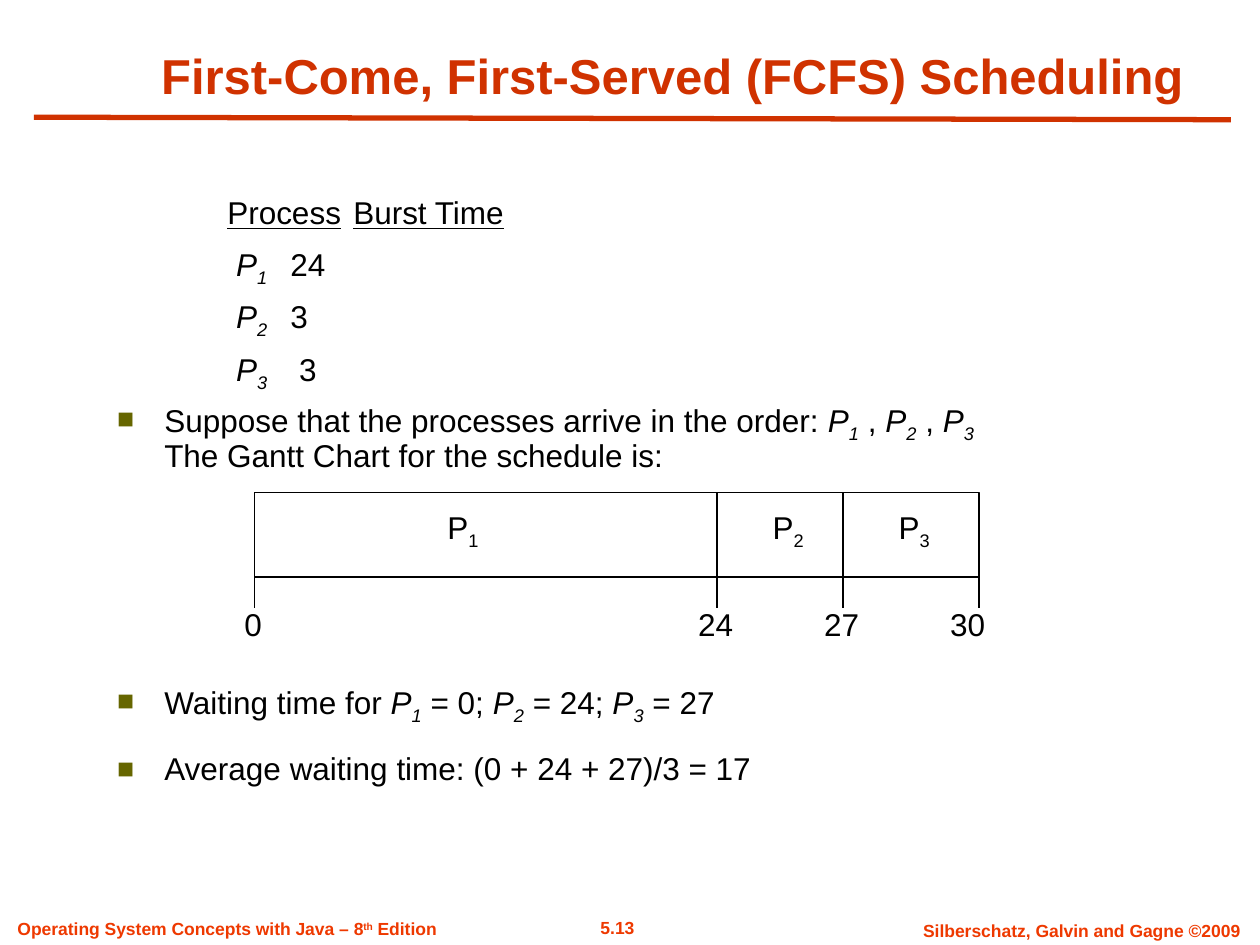
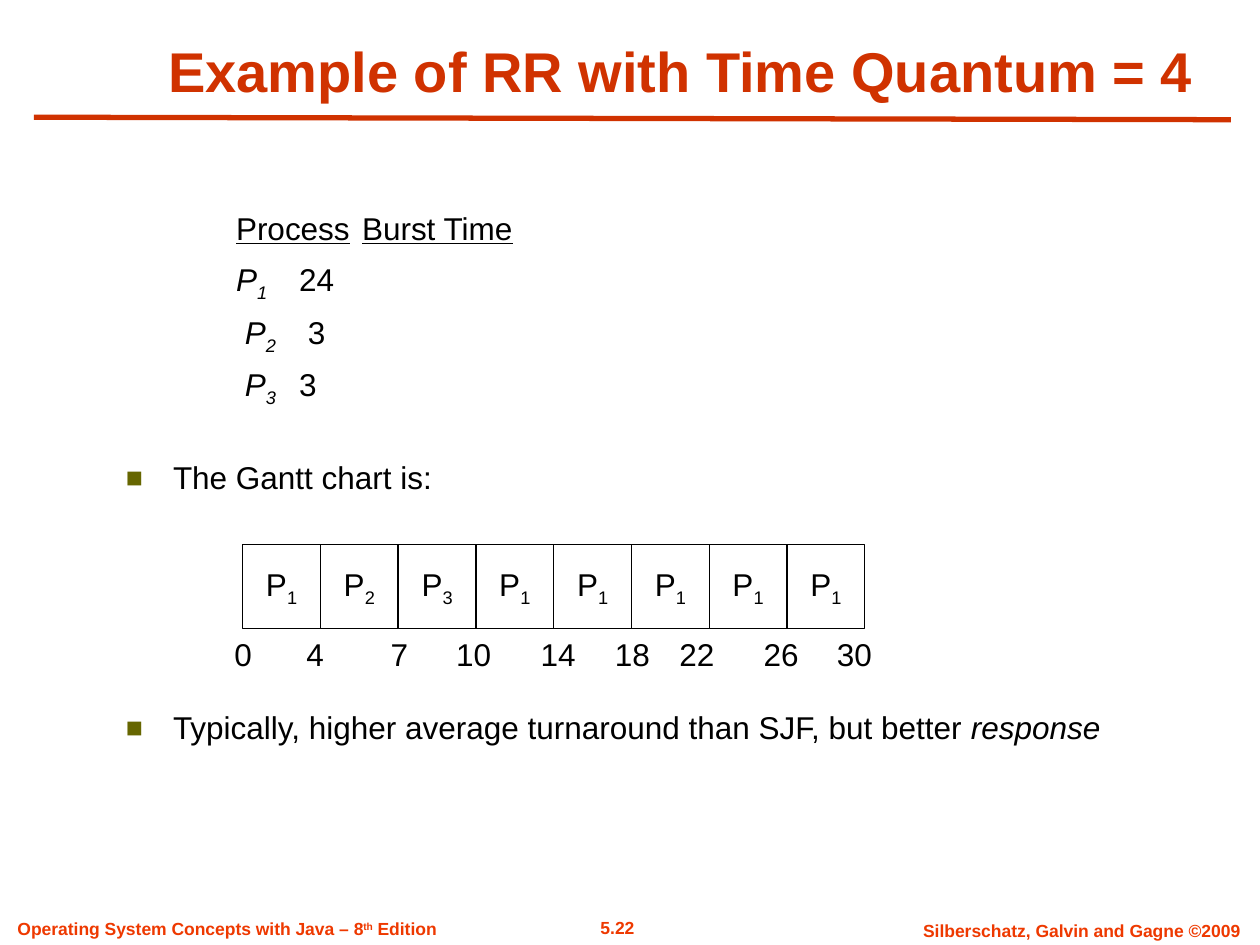
import pptx
import pptx.dml.color
import pptx.enum.shapes
import pptx.enum.text
import pptx.oxml.ns
import pptx.util
from lxml import etree

Pt = pptx.util.Pt
Align = pptx.enum.text.PP_ALIGN
Anchor = pptx.enum.text.MSO_ANCHOR

THEME = {
    "font": "Arial",
    "colors": {"title": "D03200", "footer": "EE3900", "ink": "000000",
               "paper": "FFFFFF", "bullet": "666600"},
    "sizes": {"body": 18, "footer": 10},
    "rule": 3, "hairline": 0.74,
    "indent": 27, "line spacing": 0.9, "bullet percent": 90,
}

# Span styles: font attributes, plus "baseline" in thousandths of a percent
STYLES = {
    "plain": {},
    "italic": {"italic": True},
    "italic index": {"italic": True, "baseline": -25000},
    "index": {"baseline": -25000},
    "heading": {"underline": True},
    "raised": {"baseline": 30000},
}
BREAK = ("\n", "plain")


def process(number):
    return [("P", "italic"), (str(number), "italic index")]


def plain(text):
    return [(text, "plain")]


# Content: a body paragraph is (bulleted, space before, spans)
TABLE_HEAD = (False, 7.9, [("\t\t", "plain"), ("Process", "heading"),
                           ("\t", "plain"), ("Burst Time", "heading")])


def table_row(number, burst, lead="\t\t "):
    return (False, 7.9, plain(lead) + process(number) + plain("\t" + burst))


FOOTERS = [  # left, top, width, alignment, spans
    (2.9, 521.3, 255.6, Align.LEFT,
     [("Operating System Concepts with Java – 8", "plain"),
      ("th", "raised"), (" Edition", "plain")]),
    (511.2, 522, 213.8, Align.CENTER,
     plain("Silberschatz, Galvin and Gagne ©2009")),
]

FCFS = {
    "number": "5.13",
    "title": ("First-Come, First-Served (FCFS) Scheduling", 28,
              (59.8, 27.4, 648.7, 36)),
    "body box": (59.8, 109.4, 595.4, 359.3),
    "body": [
        TABLE_HEAD,
        table_row(1, "24"), table_row(2, "3"), table_row(3, " 3"),
        (True, 7, plain("Suppose that the processes arrive in the order: ")
         + process(1) + plain(" , ") + process(2) + plain(" , ") + process(3)
         + [BREAK] + plain("The Gantt Chart for the schedule is:")),
        (True, 119.6, plain("Waiting time for ") + process(1)
         + plain(" = 0; ") + process(2) + plain(" = 24; ") + process(3)
         + plain(" = 27")),
        (True, 17.9, plain("Average waiting time: (0 + 24 + 27)/3 = 17")),
    ],
    "top": 281.5, "height": 48.2, "tick": 18,
    "edges": [145.4, 409.7, 481.7, 559.4],
    "jobs": [(1, 264.6), (2, 450.4), (3, 522.4)],      # process, centre
    "job label": (286.6, 31.7),                        # top, height
    "times": [("0", 144.7), ("24", 409), ("27", 481), ("30", 553)],
    "times top": 342,
}

ROUND_ROBIN = {
    "number": "5.22",
    "title": ("Example of RR with Time Quantum = 4", 32,
              (72, 6.5, 634.3, 56.2)),
    "body box": (64.8, 118.1, 578.9, 352.8),
    "body": [
        TABLE_HEAD,
        table_row(1, "24", "\t\t"), table_row(2, " 3"), table_row(3, "3"),
        (True, 33.3, plain("The Gantt chart is:")),
        (True, 123.3,
         plain("Typically, higher average turnaround than SJF, but better ")
         + [("response", "italic")]),
    ],
    "left": 138.7, "top": 311, "cell": 44.43, "height": 48.2,
    "cells": [1, 2, 3, 1, 1, 1, 1, 1],
    "times": [("0", 139), ("4", 180), ("7", 228.2), ("10", 270.7),
              ("14", 319), ("18", 361.4), ("22", 398.2), ("26", 446.4),
              ("30", 488.2)],
    "times top": 359.3,
}


# Helpers
def color(name):
    return pptx.dml.color.RGBColor.from_string(THEME["colors"][name])


def points(*values):
    return [Pt(value) for value in values]


def add_spans(para, spans, size, ink="ink", bold=False):
    for text, style in spans:
        if text == "\n":
            para.add_line_break()
            continue
        span = para.add_run()
        span.text = text
        formats = {"name": THEME["font"], "size": Pt(size), "bold": bold}
        formats.update(STYLES[style])
        baseline = formats.pop("baseline", None)
        for key, value in formats.items():
            setattr(span.font, key, value)
        span.font.color.rgb = color(ink)
        if baseline:
            span._r.get_or_add_rPr().set("baseline", str(baseline))


def set_frame(box, wrap, anchor):
    formats = {"word_wrap": wrap, "vertical_anchor": anchor,
               "margin_left": Pt(7.2), "margin_right": Pt(7.2),
               "margin_top": Pt(3.6), "margin_bottom": Pt(3.6)}
    for key, value in formats.items():
        setattr(box.text_frame, key, value)
    return box.text_frame


def add_text(shapes, place, spans, size, ink="ink", bold=False,
             align=Align.CENTER, anchor=Anchor.MIDDLE, wrap=False):
    box = shapes.add_textbox(*points(*place))
    para = set_frame(box, wrap, anchor).paragraphs[0]
    para.alignment = align
    add_spans(para, spans, size, ink, bold)


def add_line(shapes, start, end, ink="ink", width=THEME["hairline"]):
    line = shapes.add_connector(pptx.enum.shapes.MSO_CONNECTOR.STRAIGHT,
                                *points(*start, *end))
    line.line.color.rgb = color(ink)
    line.line.width = Pt(width)
    etree.SubElement(line._element.spPr, pptx.oxml.ns.qn("a:effectLst"))


def add_bar(shapes, place):
    bar = shapes.add_shape(pptx.enum.shapes.MSO_SHAPE.RECTANGLE,
                           *points(*place))
    bar.shadow.inherit = False
    bar.fill.solid()
    bar.fill.fore_color.rgb = color("paper")
    bar.line.color.rgb = color("ink")
    bar.line.width = Pt(THEME["hairline"])
    return bar


def add_bullet(para):
    properties = para._p.get_or_add_pPr()
    qn = pptx.oxml.ns.qn
    tint = etree.SubElement(properties, qn("a:buClr"))
    etree.SubElement(tint, qn("a:srgbClr"), val=THEME["colors"]["bullet"])
    etree.SubElement(properties, qn("a:buSzPct"),
                     val=str(THEME["bullet percent"] * 1000))
    etree.SubElement(properties, qn("a:buFont"), typeface=THEME["font"])
    etree.SubElement(properties, qn("a:buChar"), char="■")


def add_body(page, place, paragraphs):
    frame = set_frame(page.shapes.add_textbox(*points(*place)), True,
                      Anchor.TOP)
    for index, (bulleted, gap, spans) in enumerate(paragraphs):
        para = frame.add_paragraph() if index else frame.paragraphs[0]
        para.alignment = Align.LEFT
        para.line_spacing = THEME["line spacing"]
        para.space_before = Pt(gap)
        properties = para._p.get_or_add_pPr()
        properties.set("marL", str(Pt(THEME["indent"])))
        properties.set("indent", str(-Pt(THEME["indent"])))
        if bulleted:
            add_bullet(para)
        add_spans(para, spans, THEME["sizes"]["body"])


def job_name(number):
    return [("P", "plain"), (str(number), "index")]


def add_times(shapes, content):
    for text, center in content["times"]:
        width = 14.4 + 10 * len(text)
        add_text(shapes, (center - width / 2, content["times top"], width, 28.8),
                 plain(text), THEME["sizes"]["body"])


def add_page(deck, content):
    page = deck.slides.add_slide(deck.slide_layouts[6])
    page.background.fill.solid()
    page.background.fill.fore_color.rgb = color("paper")
    # Footers and title rule
    number = (317.5, 520.6, 70.6, Align.CENTER, plain(content["number"]))
    for left, top, width, align, spans in [number] + FOOTERS:
        add_text(page.shapes, (left, top, width, 19.4), spans,
                 THEME["sizes"]["footer"], "footer", True, align,
                 Anchor.TOP, True)
    add_line(page.shapes, (19.4, 67), (703.4, 68.4), "title", THEME["rule"])
    # Title and body
    text, size, place = content["title"]
    add_text(page.shapes, place, plain(text), size, "title", True,
             anchor=Anchor.BOTTOM, wrap=True)
    add_body(page, content["body box"], content["body"])
    return page


def add_divided_chart(page, content):
    shapes = page.shapes.add_group_shape().shapes
    edges, top = content["edges"], content["top"]
    bottom = top + content["height"]
    add_bar(shapes, (edges[0], top, edges[-1] - edges[0], content["height"]))
    label_top, label_height = content["job label"]
    for number, center in content["jobs"]:
        add_text(shapes, (center - 16.2, label_top, 32.4, label_height),
                 job_name(number), THEME["sizes"]["body"])
    for edge in edges[1:-1]:
        add_line(shapes, (edge, top), (edge, bottom))
    for edge in edges:
        add_line(shapes, (edge, bottom), (edge, bottom + content["tick"]))
    add_times(shapes, content)


def add_cell_chart(page, content):
    shapes = page.shapes.add_group_shape().shapes
    for index, number in enumerate(content["cells"]):
        left = content["left"] + index * content["cell"]
        cell = add_bar(shapes, (left, content["top"], content["cell"],
                                content["height"]))
        para = set_frame(cell, False, Anchor.MIDDLE).paragraphs[0]
        para.alignment = Align.CENTER
        add_spans(para, job_name(number), THEME["sizes"]["body"])
    add_times(shapes, content)


# Build the deck
deck = pptx.Presentation()
deck.slide_width, deck.slide_height = points(720, 540)
add_divided_chart(add_page(deck, FCFS), FCFS)
add_cell_chart(add_page(deck, ROUND_ROBIN), ROUND_ROBIN)
deck.save("out.pptx")
